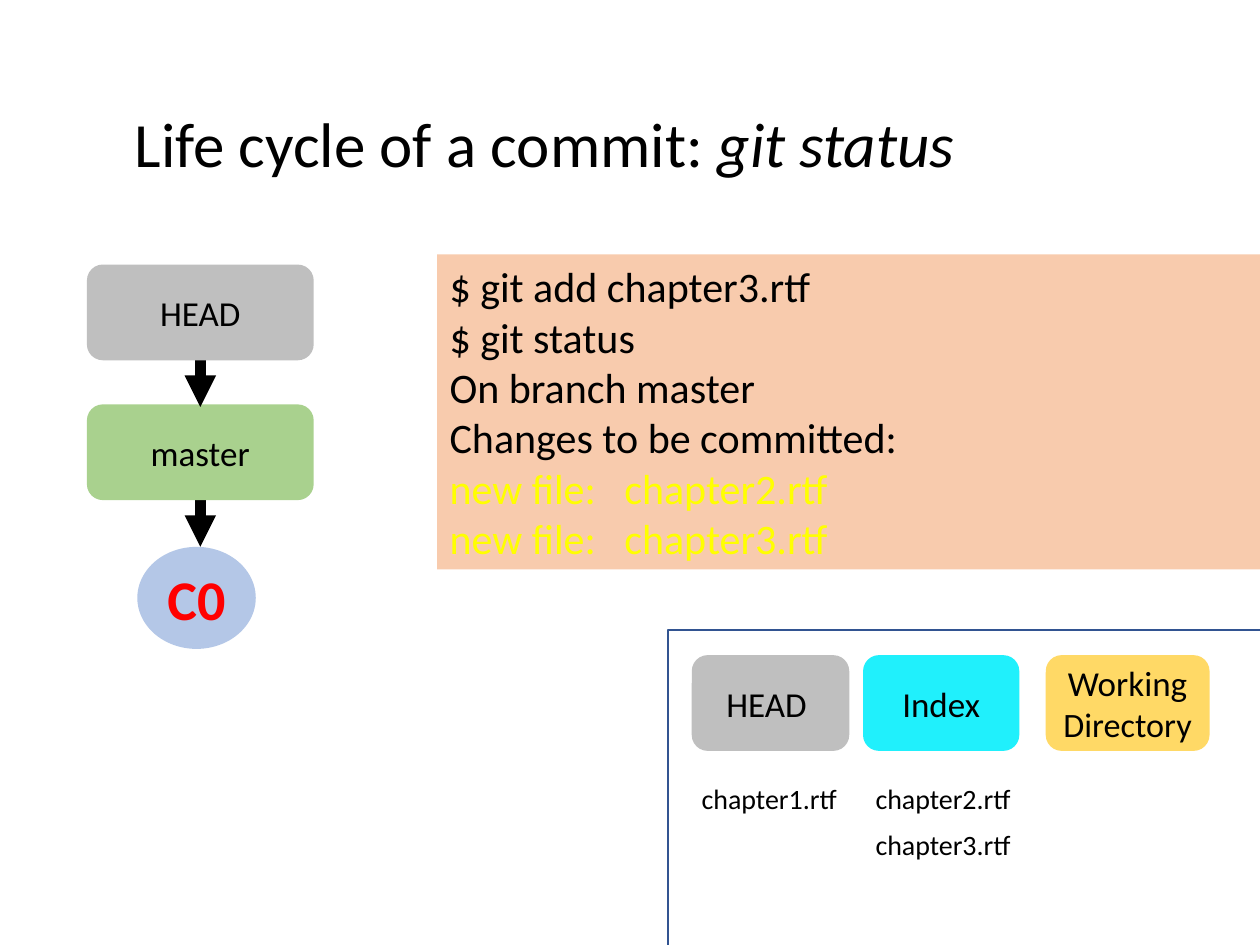
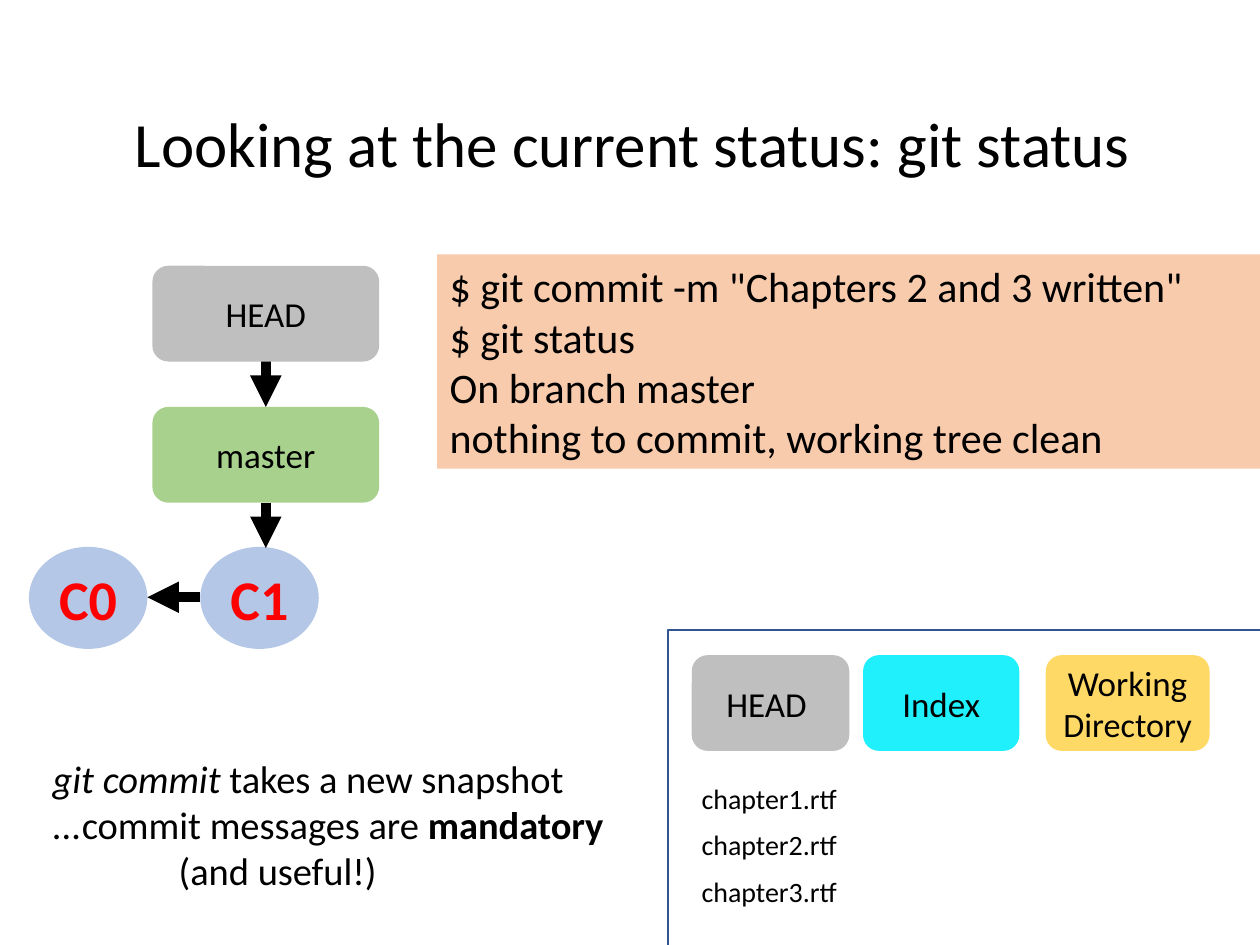
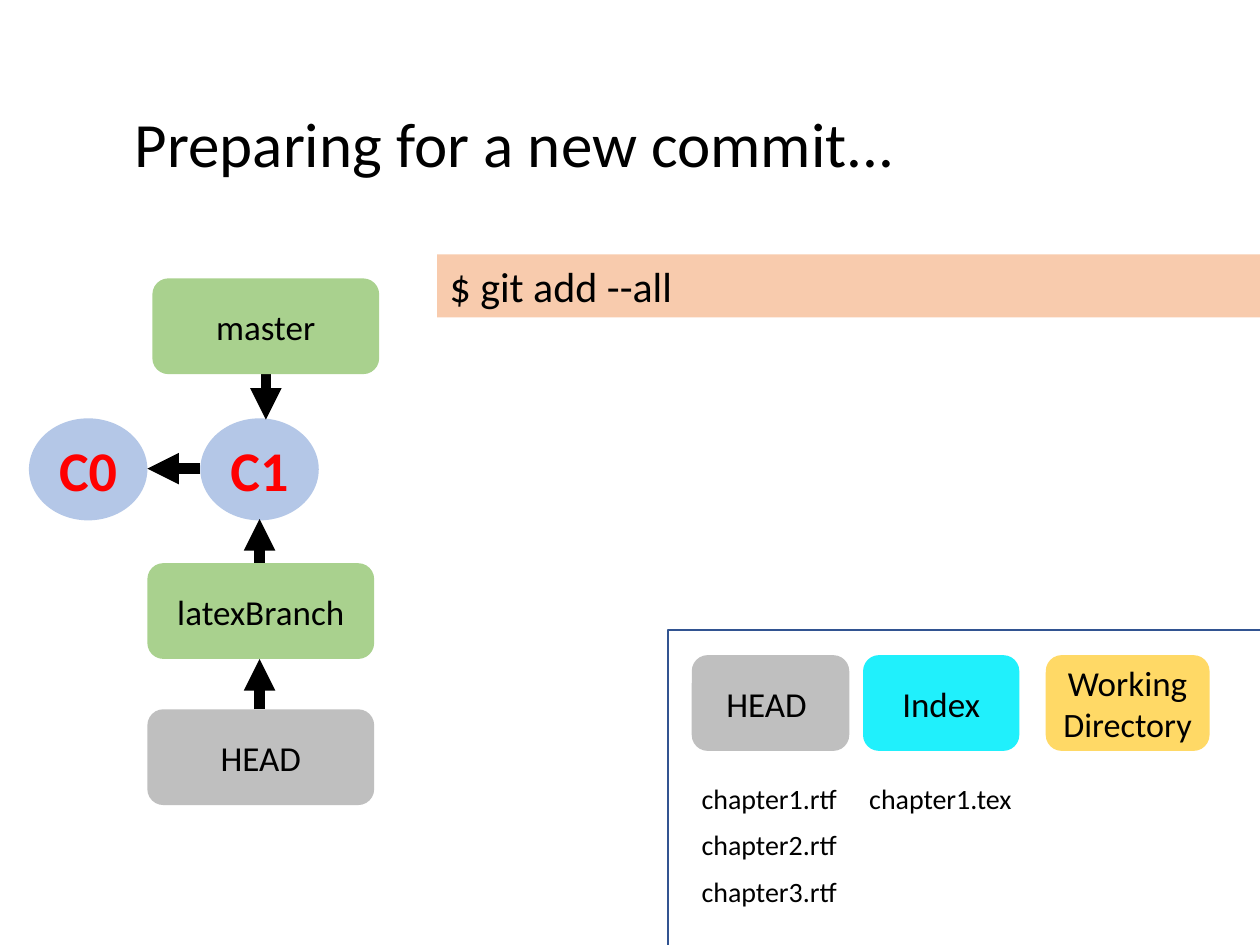
from pptx import Presentation
from pptx.dml.color import RGBColor
from pptx.enum.shapes import MSO_CONNECTOR, MSO_SHAPE
from pptx.enum.text import MSO_ANCHOR, MSO_AUTO_SIZE, PP_ALIGN
from pptx.oxml.ns import qn
from pptx.util import Inches, Pt
from lxml import etree

RECTANGLE, ROUNDED, ELLIPSE = MSO_SHAPE.RECTANGLE, MSO_SHAPE.ROUNDED_RECTANGLE, MSO_SHAPE.OVAL
STRAIGHT = MSO_CONNECTOR.STRAIGHT
TOP, MIDDLE = MSO_ANCHOR.TOP, MSO_ANCHOR.MIDDLE
LEFT, CENTER = PP_ALIGN.LEFT, PP_ALIGN.CENTER
GROW, FIXED = MSO_AUTO_SIZE.SHAPE_TO_FIT_TEXT, MSO_AUTO_SIZE.NONE

FONT = "Calibri"
BLACK, RED, YELLOW = "000000", "FF0000", "FFFF00"
GRAY, GREEN, BLUE = "BFBFBF", "A9D18E", "B4C7E7"
CYAN, GOLD, PEACH, NAVY = "20F0FC", "FFD966", "F8CBAD", "325491"

BOX_WIDTH, BOX_HEIGHT = 1.8, 0.76
COMMIT_WIDTH, COMMIT_HEIGHT = 0.94, 0.81
FILE_TOP, FILE_STEP = 6.15, 0.37
HEAD_COLUMN, INDEX_COLUMN = 5.47, 6.85


def color(hex_string):
    return RGBColor.from_string(hex_string)


def inches(*lengths):
    return [Inches(length) for length in lengths]


class Deck:
    def __init__(self):
        self.presentation = Presentation()
        self.presentation.slide_width, self.presentation.slide_height = inches(10, 7.5)
        self.slide = None

    def add_runs(self, shape, paragraphs, size, ink=BLACK, align=LEFT, anchor=TOP, grow=False, wrap=True):
        """Fill a shape with paragraphs, each a list of (text, style) runs."""
        frame = shape.text_frame
        frame.word_wrap = wrap
        frame.vertical_anchor = anchor
        frame.auto_size = GROW if grow else FIXED
        for number, runs in enumerate(paragraphs):
            paragraph = frame.add_paragraph() if number else frame.paragraphs[0]
            paragraph.alignment = align
            for text, style in runs:
                run = paragraph.add_run()
                run.text = text
                font = run.font
                font.name = FONT
                font.size = Pt(style.get("size", size))
                font.bold = style.get("bold", False)
                font.italic = style.get("italic", False)
                font.color.rgb = color(style.get("ink", ink))

    def start(self, *title_runs):
        self.slide = self.presentation.slides.add_slide(self.presentation.slide_layouts[5])
        title = self.slide.shapes.title
        title.left, title.top, title.width, title.height = inches(0.97, 0.78, 8.65, 0.71)
        self.add_runs(title, [title_runs], 36, grow=True)

    def shape(self, kind, left, top, width, height, fill=None, line=None):
        shape = self.slide.shapes.add_shape(kind, *inches(left, top, width, height))
        shape.shadow.inherit = False
        if fill:
            shape.fill.solid()
            shape.fill.fore_color.rgb = color(fill)
        else:
            shape.fill.background()
        if line:
            shape.line.color.rgb = color(line)
            shape.line.width = Pt(1)
        else:
            shape.line.fill.background()
        return shape

    def box(self, runs, left, top, fill, width=BOX_WIDTH):
        shape = self.shape(ROUNDED, left, top, width, BOX_HEIGHT, fill)
        self.add_runs(shape, [runs], 20, align=CENTER, anchor=MIDDLE)

    def commit(self, name, left, top):
        shape = self.shape(ELLIPSE, left, top, COMMIT_WIDTH, COMMIT_HEIGHT, BLUE)
        self.add_runs(shape, [[(name, {"bold": True})]], 32, RED, CENTER, MIDDLE)

    def arrow(self, *ends):
        arrow = self.slide.shapes.add_connector(STRAIGHT, *inches(*ends))
        arrow.line.color.rgb = color(BLACK)
        arrow.line.width = Pt(6)
        properties = arrow._element.spPr
        etree.SubElement(properties.find(qn("a:ln")), qn("a:tailEnd"), type="triangle")
        etree.SubElement(properties, qn("a:effectLst"))

    def terminal(self, plain, highlighted=()):
        count = len(plain) + len(highlighted)
        shape = self.shape(RECTANGLE, 3.47, 2.02, 6.53, 0.1 + 0.4 * count, PEACH)
        lines = [[(text, {})] for text in plain]
        lines += [[(text, {"ink": YELLOW})] for text in highlighted]
        self.add_runs(shape, lines, 24, grow=True)

    def text(self, paragraphs, left, top, width, height, size, wrap=True):
        box = self.slide.shapes.add_textbox(*inches(left, top, width, height))
        self.add_runs(box, paragraphs, size, grow=True, wrap=wrap)
        return box

    def areas(self, *columns):
        """Draw the three areas with columns of (left, width, file names)."""
        self.box([("HEAD ", {})], 5.49, 5.2, GRAY, 1.25)
        self.box([("Index", {})], 6.85, 5.2, CYAN, 1.24)
        self.box([("Working ", {}), ("Directory", {"size": 19.5})], 8.3, 5.2, GOLD, 1.3)
        for left, width, names in columns:
            for row, name in enumerate(names):
                top = FILE_TOP + row * FILE_STEP
                self.text([[(name, {})]], left, top, width, FILE_STEP, 16, wrap=False)
        self.shape(RECTANGLE, 5.3, 5, 5.02, 2.74, line=NAVY)

    def first_two_commits(self, top):
        self.commit("C0", 0.23, top)
        self.commit("C1", 1.59, top)
        self.arrow(1.59, top + 0.4, 1.17, top + 0.4)


def main():
    deck = Deck()
    chapters = [f"chapter{number}.rtf" for number in (1, 2, 3)]

    # Staged files
    deck.start(("Life cycle of a commit: ", {}), ("git status", {"italic": True}))
    deck.commit("C0", 1.09, 4.34)
    deck.arrow(1.59, 3.97, 1.59, 4.34)
    deck.box([("master", {})], 0.69, 3.21, GREEN)
    deck.arrow(1.59, 2.86, 1.59, 3.23)
    deck.box([("HEAD", {})], 0.69, 2.1, GRAY)
    deck.terminal(
        ["$ git add chapter3.rtf", "$ git status", "On branch master", "Changes to be committed:"],
        ["new file:   chapter2.rtf", "new file:   chapter3.rtf"],
    )
    deck.areas((HEAD_COLUMN, 1.29, chapters[:1]), (INDEX_COLUMN, 1.29, chapters[1:]))

    # Second commit
    deck.start(("Looking at the current status: git status", {}))
    deck.first_two_commits(4.34)
    deck.arrow(2.11, 3.99, 2.11, 4.35)
    deck.box([("master", {})], 1.21, 3.23, GREEN)
    deck.arrow(2.11, 2.86, 2.11, 3.23)
    deck.box([("HEAD", {})], 1.21, 2.11, GRAY)
    deck.terminal([
        '$ git commit -m "Chapters 2 and 3 written"',
        "$ git status",
        "On branch master",
        "nothing to commit, working tree clean",
    ])
    note = deck.text([
        [("git commit ", {"italic": True}), ("takes a new snapshot", {})],
        [("...", {"italic": True}), ("commit messages are ", {}), ("mandatory", {"bold": True})],
        [("(and useful!)", {})],
    ], 0.32, 5.94, 4.8, 1.21, 22)
    remark = note.text_frame.paragraphs[-1]
    remark._p.get_or_add_pPr().set("marL", str(Inches(1)))
    deck.areas((HEAD_COLUMN, 1.29, chapters))

    # New branch
    deck.start(("Preparing for a new commit...", {}))
    deck.first_two_commits(3.32)
    deck.arrow(2.11, 2.97, 2.11, 3.33)
    deck.box([("master", {})], 1.21, 2.21, GREEN)
    deck.terminal(["$ git add --all"])
    deck.arrow(2.06, 4.47, 2.06, 4.12)
    deck.box([("latexBranch", {})], 1.17, 4.47, GREEN)
    deck.arrow(2.06, 5.63, 2.06, 5.23)
    deck.box([("HEAD", {})], 1.17, 5.63, GRAY)
    deck.areas((HEAD_COLUMN, 1.29, chapters), (INDEX_COLUMN - 0.05, 1.35, ["chapter1.tex"]))

    deck.presentation.save("out.pptx")


if __name__ == "__main__":
    main()
